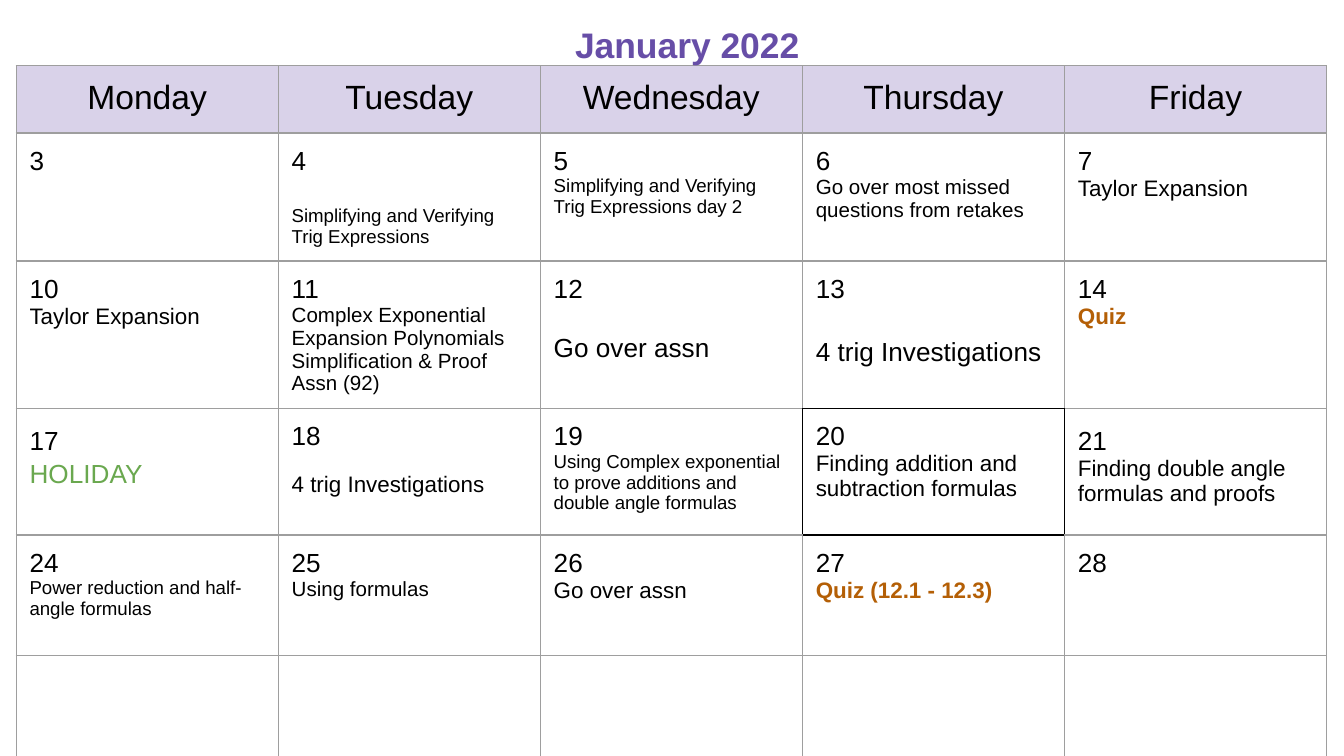
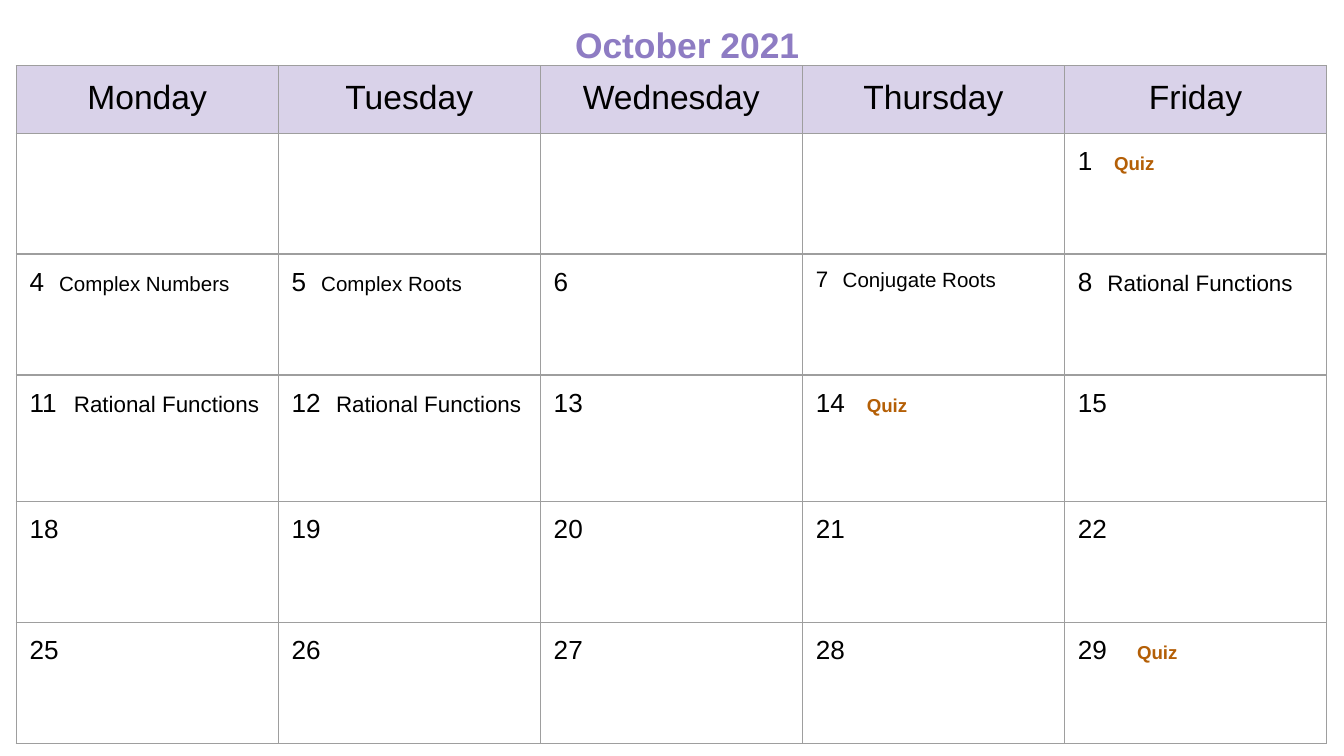
"""Build monthly class calendars as a two-slide deck."""
from dataclasses import dataclass
from typing import Optional

from lxml import etree
from pptx import Presentation
from pptx import util as u
from pptx.dml.color import RGBColor
from pptx.enum import text
from pptx.oxml import ns

INK = RGBColor(0x00, 0x00, 0x00)
GRID = RGBColor(0x9E, 0x9E, 0x9E)
HEADER = RGBColor(0xD9, 0xD2, 0xE9)
PURPLE = RGBColor(0x67, 0x4E, 0xA7)
LAVENDER = RGBColor(0x8E, 0x7C, 0xC3)
QUIZ = RGBColor(0xB4, 0x5F, 0x06)
HOLIDAY = RGBColor(0x6A, 0xA8, 0x4F)

FONT = "Arial"
WEEKDAYS = ("Monday", "Tuesday", "Wednesday", "Thursday", "Friday")
COLUMN = 1.95
ROWS = (0.5, 0.9, 0.9, 0.94, 0.9, 0.9)
LEFT, TOP = 0.12, 0.49
PADDING = u.Inches(0.1)
DIGIT_SHARE = 0.56
SIDES = {"lnL": (0, -1), "lnR": (0, 1), "lnT": (-1, 0), "lnB": (1, 0)}


@dataclass(frozen=True)
class Day:
    """A date with its lessons below it, or beside it at a tab gap in inches."""

    number: int
    lessons: tuple[str, ...] = ()
    size: int = 12
    color: RGBColor = INK
    number_size: int = 14
    space_before: int = 0
    number_spacing: float = 1.0
    lesson_spacing: float = 1.0
    tab_gap: float = 0
    outlined: bool = False

    @property
    def bold(self) -> bool:
        """Quizzes stand out in bold."""
        return self.color == QUIZ


Week = tuple[Optional[Day], ...]


@dataclass(frozen=True)
class Month:
    """A titled calendar page."""

    title: str
    color: RGBColor
    weeks: tuple[Week, ...]


def beside(number: int, lesson: str, size: int, number_size: int = 14) -> Day:
    """Make a day whose lesson follows the date on its line."""
    return Day(number, (lesson,), size, number_size=number_size, tab_gap=0.11)


def quiz_beside(number: int, tab_gap: float = 0.16) -> Day:
    """Make a day with a quiz on the date's line."""
    return Day(number, ("Quiz",), 10, QUIZ, tab_gap=tab_gap)


JANUARY = Month("January 2022", PURPLE, (
    (
        Day(3),
        Day(4, ("Simplifying and Verifying Trig Expressions",), 10, space_before=16),
        Day(5, ("Simplifying and Verifying Trig Expressions day 2",), 10),
        Day(6, ("Go over most missed questions from retakes",), 11),
        Day(7, ("Taylor Expansion",)),
    ),
    (
        Day(10, ("Taylor Expansion",)),
        Day(11, ("Complex Exponential Expansion Polynomials",
                 "Simplification & Proof Assn (92)"), 11),
        Day(12, ("Go over assn",), 14, space_before=16),
        Day(13, ("4 trig Investigations",), 14, space_before=16, lesson_spacing=1.15),
        Day(14, ("Quiz",), color=QUIZ),
    ),
    (
        Day(17, ("HOLIDAY",), 14, HOLIDAY, number_spacing=1.15, lesson_spacing=1.15),
        Day(18, ("4 trig Investigations",), space_before=9, lesson_spacing=1.15),
        Day(19, ("Using Complex exponential to prove additions and "
                 "double angle formulas",), 10),
        Day(20, ("Finding addition and subtraction formulas",), outlined=True),
        Day(21, ("Finding double angle formulas and proofs",), number_spacing=1.15),
    ),
    (
        Day(24, ("Power reduction and half-angle formulas",), 10),
        Day(25, ("Using formulas",), 11),
        Day(26, ("Go over assn",)),
        Day(27, ("Quiz (12.1 - 12.3)",), color=QUIZ),
        Day(28),
    ),
    (None,) * 5,
))

OCTOBER = Month("October 2021", LAVENDER, (
    (None,) * 4 + (quiz_beside(1),),
    (
        beside(4, "Complex Numbers", 11),
        beside(5, "Complex Roots", 11),
        Day(6),
        beside(7, "Conjugate Roots", 11, number_size=12),
        beside(8, "Rational Functions", 12),
    ),
    (
        beside(11, "Rational Functions", 12),
        beside(12, "Rational Functions", 12),
        Day(13),
        quiz_beside(14),
        Day(15),
    ),
    tuple(Day(number) for number in range(18, 23)),
    tuple(Day(number) for number in range(25, 29)) + (quiz_beside(29, 0.22),),
))


def set_font(font, size: int, color: RGBColor = INK, bold: bool = False) -> None:
    """Style a paragraph's or a run's font."""
    font.name = FONT
    font.size = u.Pt(size)
    font.bold = bold
    font.color.rgb = color


def add_tab_stop(paragraph, position: float) -> None:
    """Add a left tab stop, given in inches."""
    stops = etree.SubElement(paragraph._p.get_or_add_pPr(), ns.qn("a:tabLst"))
    etree.SubElement(stops, ns.qn("a:tab"), pos=str(u.Inches(position)), algn="l")


def set_border(cell, side: str, color: RGBColor) -> None:
    """Draw one side of a cell."""
    line = etree.SubElement(cell._tc.get_or_add_tcPr(), ns.qn(f"a:{side}"),
                            w=str(u.Pt(0.75)))
    fill = etree.SubElement(line, ns.qn("a:solidFill"))
    etree.SubElement(fill, ns.qn("a:srgbClr"), val=str(color))


def write_day(cell, day: Day) -> None:
    """Write a date and its lessons into a cell."""
    frame = cell.text_frame
    date = frame.paragraphs[0]
    date.line_spacing = day.number_spacing
    number = date.add_run()
    number.text = str(day.number)
    if day.tab_gap:
        digits = len(number.text) * DIGIT_SHARE * day.number_size / 72
        add_tab_stop(date, round(digits + day.tab_gap, 2))
        number.text += "\t"
        set_font(number.font, day.number_size)
        lesson = date.add_run()
        lesson.text = day.lessons[0]
        set_font(lesson.font, day.size, day.color, day.bold)
        return
    set_font(date.font, day.number_size)
    for topic in day.lessons:
        lesson = frame.add_paragraph()
        lesson.text = topic
        lesson.line_spacing = day.lesson_spacing
        lesson.space_before = u.Pt(day.space_before)
        set_font(lesson.font, day.size, day.color, day.bold)


def add_calendar(slide, weeks: tuple[Week, ...]) -> None:
    """Draw the weekday header and the weeks."""
    calendar = slide.shapes.add_table(
        len(ROWS), len(WEEKDAYS), u.Inches(LEFT), u.Inches(TOP),
        u.Inches(COLUMN * len(WEEKDAYS)), u.Inches(sum(ROWS))).table
    calendar.first_row = calendar.horz_banding = False
    for column in calendar.columns:
        column.width = u.Inches(COLUMN)
    for row, height in zip(calendar.rows, ROWS):
        row.height = u.Inches(height)

    outlined = {(row, column) for row, week in enumerate(weeks, 1)
                for column, day in enumerate(week) if day and day.outlined}
    for row in range(len(ROWS)):
        for column, weekday in enumerate(WEEKDAYS):
            cell = calendar.cell(row, column)
            cell.margin_left = cell.margin_right = PADDING
            cell.margin_top = cell.margin_bottom = PADDING
            for side, (down, right) in SIDES.items():
                touching = {(row, column), (row + down, column + right)}
                set_border(cell, side, INK if touching & outlined else GRID)
            if row == 0:
                cell.fill.solid()
                cell.fill.fore_color.rgb = HEADER
                heading = cell.text_frame.paragraphs[0]
                heading.text = weekday
                heading.alignment = text.PP_ALIGN.CENTER
                set_font(heading.font, 18)
                continue
            cell.fill.background()
            day = weeks[row - 1][column]
            if day:
                write_day(cell, day)


def add_title(slide, month: Month) -> None:
    """Write the month's name above the calendar."""
    frame = slide.shapes.add_textbox(
        u.Inches(4.18), u.Inches(0.07), u.Inches(3.79), u.Inches(0.52)).text_frame
    frame.word_wrap = True
    frame.auto_size = text.MSO_AUTO_SIZE.SHAPE_TO_FIT_TEXT
    frame.margin_left = frame.margin_right = PADDING
    frame.margin_top = frame.margin_bottom = PADDING
    title = frame.paragraphs[0]
    title.text = month.title
    set_font(title.font, 19, month.color, bold=True)


def main() -> None:
    """Build and save the deck."""
    deck = Presentation()
    deck.slide_width = u.Inches(10)
    deck.slide_height = deck.slide_width * 9 // 16
    for month in (JANUARY, OCTOBER):
        slide = deck.slides.add_slide(deck.slide_layouts[6])
        add_calendar(slide, month.weeks)
        add_title(slide, month)
    deck.save("out.pptx")


if __name__ == "__main__":
    main()
